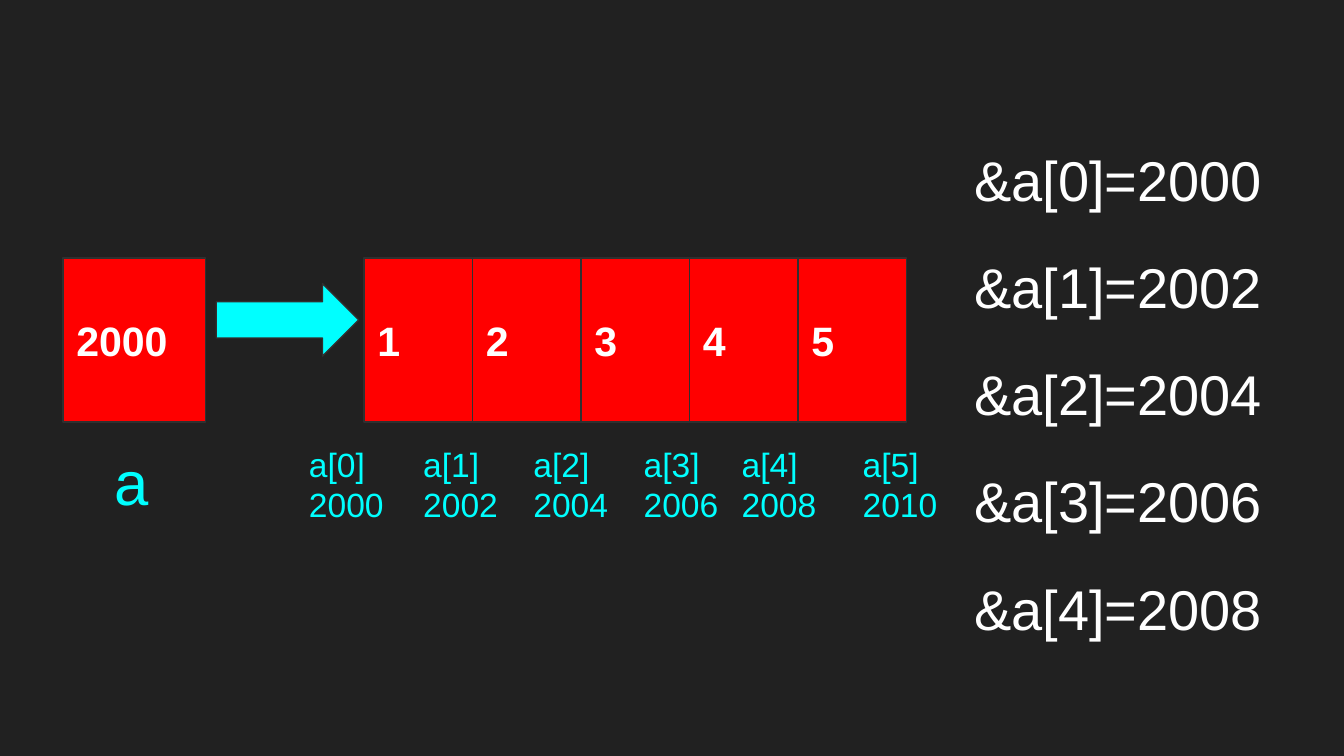
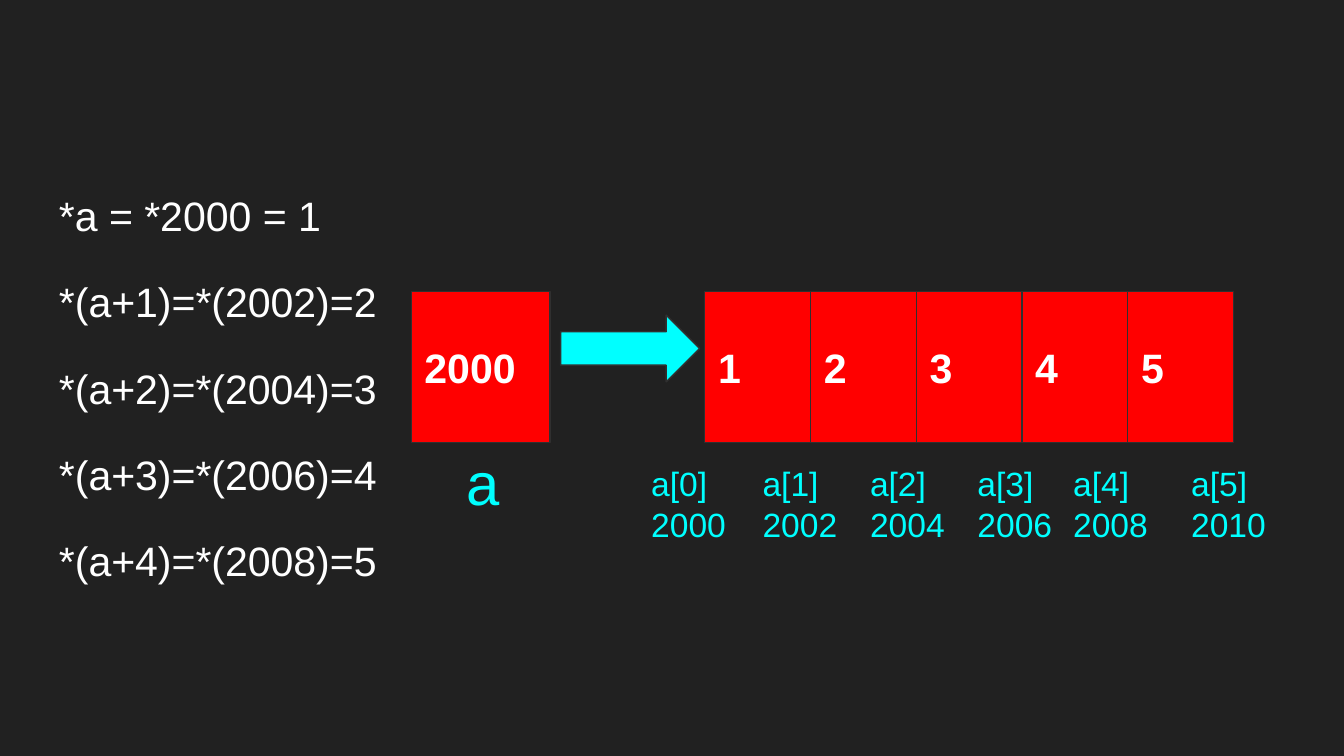
from pptx import Presentation
from pptx.dml.color import RGBColor
from pptx.enum.shapes import MSO_SHAPE
from pptx.enum.text import MSO_ANCHOR, PP_ALIGN
from pptx.util import Inches, Pt

# Shared look
BACKGROUND = RGBColor(0x21, 0x21, 0x21)
RED = RGBColor(0xFF, 0x00, 0x00)
CYAN = RGBColor(0x00, 0xFF, 0xFF)
WHITE = RGBColor(0xFF, 0xFF, 0xFF)
OUTLINE = RGBColor(0x30, 0x30, 0x30)
FONT = "Arial"
INSET = 0.1

# Content
POINTER = ("a", "2000")
VALUES = ["1", "2", "3", "4", "5"]
ADDRESSES = [f"a[{i}]\n{2000 + 2 * i}" for i in range(len(VALUES) + 1)]
SLIDES = [
    {
        "formulas": ["&a[0]=2000", "&a[1]=2002", "&a[2]=2004", "&a[3]=2006", "&a[4]=2008"],
        "formula_box": (5.83, 0.28, 4.98, 4.77),
        "formula_size": 30, "formula_align": PP_ALIGN.CENTER, "formula_top": 0.73,
        "diagram": (0.47, 1.92), "scale": (1, 1),
        "name_box": (0.54, 3.2, 0.99, 0.68), "name_size": 33, "name_indent": 0.31,
    },
    {
        "formulas": ["*a = *2000 = 1", "*(a+1)=*(2002)=2", "*(a+2)=*(2004)=3",
                     "*(a+3)=*(2006)=4", "*(a+4)=*(2008)=5"],
        "formula_box": (0.34, 1.26, 2.72, 3.74),
        "formula_size": 22, "formula_align": PP_ALIGN.LEFT, "formula_top": INSET,
        "diagram": (3.06, 2.17), "scale": (0.975, 0.92),
        "name_box": (3.0, 3.22, 0.96, 0.63), "name_size": 32, "name_indent": 0.47,
    },
]

# Diagram layout in inches, before scaling, from its top left corner
CELL_W, CELL_H = 0.807, 1.22
POINTER_W = 1.06
ARRAY_X = 2.24
ARROW = (1.14, 0.19, 1.06, 0.54)
LABEL_Y, LABEL_H = 1.28, 0.68
LABEL_COLUMNS = [(1.73, 0.99), (2.58, 0.99), (3.4, 0.99),
                 (4.22, 0.99), (4.95, 1.06), (5.85, 0.9)]


def write(shape, text, size, color, bold=False, left=INSET, top=INSET):
    frame = shape.text_frame
    frame.word_wrap = True
    frame.margin_left, frame.margin_top = Inches(left), Inches(top)
    frame.margin_right = frame.margin_bottom = Inches(INSET)
    frame.text = text
    for paragraph in frame.paragraphs:
        paragraph.alignment = PP_ALIGN.LEFT
        for run in paragraph.runs:
            run.font.name, run.font.size = FONT, Pt(size)
            run.font.bold, run.font.color.rgb = bold, color
    return frame


def add_text(shapes, box, text, size, color, **margins):
    textbox = shapes.add_textbox(*map(Inches, box))
    return write(textbox, text, size, color, **margins)


def add_block(shapes, kind, box, fill):
    block = shapes.add_shape(kind, *map(Inches, box))
    block.shadow.inherit = False
    block.fill.solid()
    block.fill.fore_color.rgb = fill
    block.line.color.rgb, block.line.width = OUTLINE, Pt(0.75)
    return block


def add_cell(shapes, box, value):
    cell = add_block(shapes, MSO_SHAPE.RECTANGLE, box, RED)
    write(cell, value, 22, WHITE, bold=True).vertical_anchor = MSO_ANCHOR.MIDDLE


def add_formulas(slide, content):
    frame = add_text(slide.shapes, content["formula_box"], "\n".join(content["formulas"]),
                     content["formula_size"], WHITE, top=content["formula_top"])
    for row, formula in enumerate(frame.paragraphs):
        formula.alignment = content["formula_align"]
        formula.line_spacing = 1.15
        formula.space_before = Pt(16 if row else 0)


def add_diagram(slide, content):
    shapes = slide.shapes.add_group_shape().shapes
    left, top = content["diagram"]
    scale_x, scale_y = content["scale"]

    def place(x, y, width, height):
        return left + x * scale_x, top + y * scale_y, width * scale_x, height * scale_y

    # Array cells and their addresses
    for column, value in enumerate(VALUES):
        add_cell(shapes, place(ARRAY_X + column * CELL_W, 0, CELL_W, CELL_H), value)
    for (x, width), address in zip(LABEL_COLUMNS, ADDRESSES):
        add_text(shapes, place(x, LABEL_Y, width, LABEL_H), address, 18, CYAN)

    # Pointer, arrow and pointer name
    name, target = POINTER
    add_cell(shapes, place(0, 0, POINTER_W, CELL_H), target)
    add_block(shapes, MSO_SHAPE.RIGHT_ARROW, place(*ARROW), CYAN)
    add_text(shapes, content["name_box"], name, content["name_size"], CYAN,
             left=content["name_indent"])


def main():
    deck = Presentation()
    deck.slide_width, deck.slide_height = Inches(10), Inches(5.625)
    for content in SLIDES:
        slide = deck.slides.add_slide(deck.slide_layouts[6])
        slide.background.fill.solid()
        slide.background.fill.fore_color.rgb = BACKGROUND
        add_formulas(slide, content)
        add_diagram(slide, content)
    deck.save("out.pptx")


if __name__ == "__main__":
    main()
